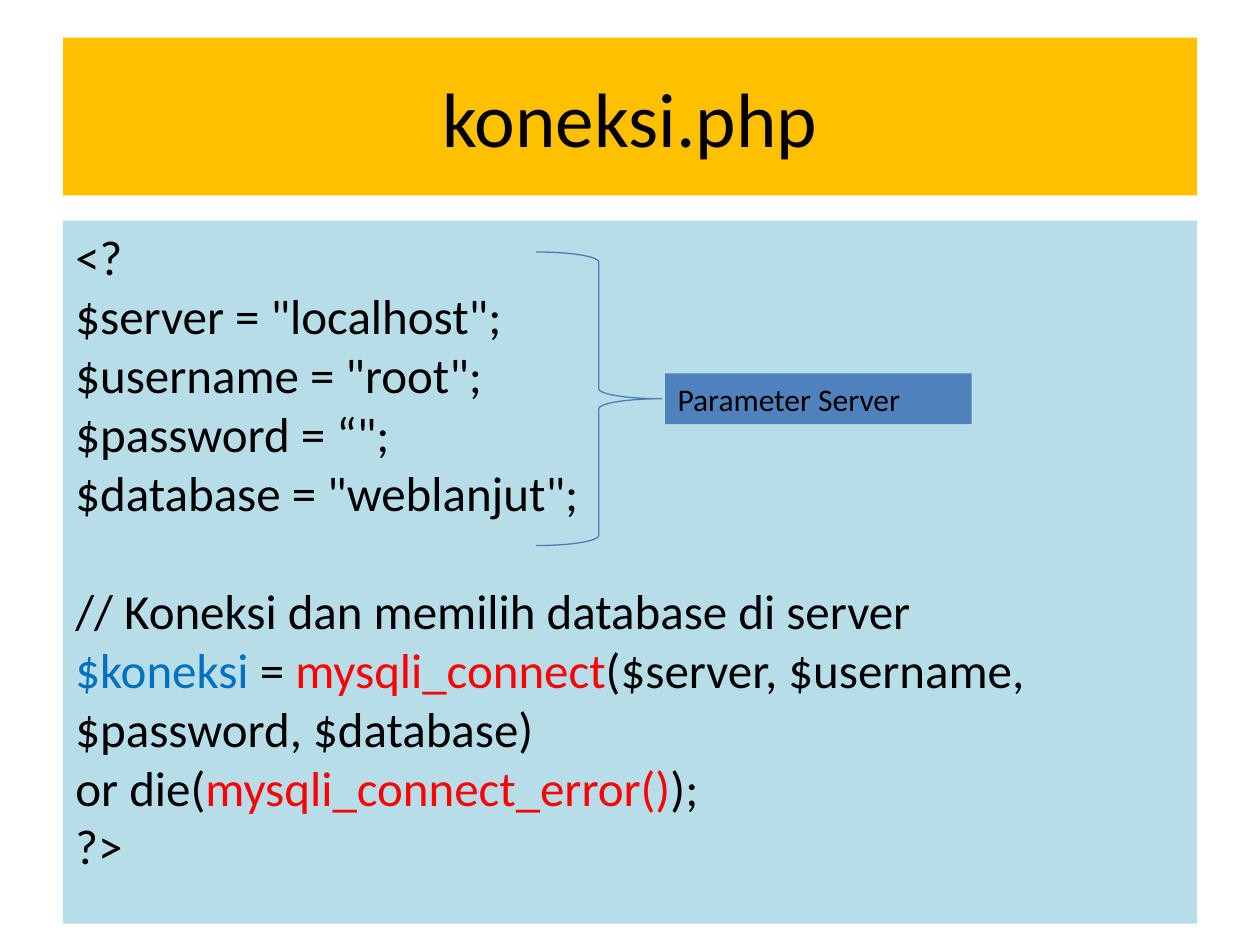
from pptx import Presentation
from pptx.dml.color import RGBColor
from pptx.enum.shapes import MSO_SHAPE
from pptx.enum.text import MSO_ANCHOR, PP_ALIGN
from pptx.util import Cm, Pt

BLACK, BLUE, RED = "000000", "0070C0", "FF0000"
LEFT, WIDTH = 1.27, 22.86
CODE_SIZE = 28
BLANK_LINE = 34

# Each line is a list of (text, colour) spans.
SETTINGS = [
    [("<?", BLACK)],
    [('$server = "localhost";', BLACK)],
    [('$username = "root";', BLACK)],
    [('$password = “";', BLACK)],
    [('$database = "weblanjut";', BLACK)],
]
CONNECTION = [
    [("// Koneksi dan memilih database di server", BLACK)],
    [("$koneksi ", BLUE), ("= ", BLACK), ("mysqli_connect", RED),
     ("($server, $username, $password, $database)", BLACK)],
    [("or die(", BLACK), ("mysqli_connect_error()", RED), (");", BLACK)],
    [("?>", BLACK)],
]


def color(hex_code):
    return RGBColor.from_string(hex_code)


class CodeSlide:
    font = "Calibri"

    def __init__(self, deck):
        self.page = deck.slides.add_slide(deck.slide_layouts[5])

    def fill(self, box, hex_code):
        box.fill.solid()
        box.fill.fore_color.rgb = color(hex_code)

    def format_span(self, span, size, hex_code):
        span.font.name = self.font
        span.font.size = Pt(size)
        span.font.color.rgb = color(hex_code)

    def title(self, text, left, top, width, height, background):
        box = self.page.shapes.title
        box.left, box.top, box.width, box.height = map(Cm, (left, top, width, height))
        self.fill(box, background)
        frame = box.text_frame
        frame.text = text
        frame.vertical_anchor = MSO_ANCHOR.MIDDLE
        para = frame.paragraphs[0]
        para.alignment = PP_ALIGN.CENTER
        self.format_span(para.runs[0], 44, BLACK)

    def shape(self, kind, left, top, width, height):
        box = self.page.shapes.add_shape(kind, *map(Cm, (left, top, width, height)))
        box.shadow.inherit = False
        return box

    def panel(self, lines, left, top, width, height, background, size):
        """Draw a filled rectangle with left-aligned lines; return their paragraphs."""
        box = self.shape(MSO_SHAPE.RECTANGLE, left, top, width, height)
        self.fill(box, background)
        box.line.fill.background()
        frame = box.text_frame
        frame.word_wrap = True
        frame.vertical_anchor = MSO_ANCHOR.TOP
        frame.text = "\n".join("" for _ in lines)
        for para, spans in zip(frame.paragraphs, lines):
            para.alignment = PP_ALIGN.LEFT
            for text, hex_code in spans:
                span = para.add_run()
                span.text = text
                self.format_span(span, size, hex_code)
        return frame.paragraphs

    def brace(self, left, top, width, height, line):
        box = self.shape(MSO_SHAPE.RIGHT_BRACE, left, top, width, height)
        box.adjustments[0] = 0.08
        box.fill.background()
        box.line.color.rgb = color(line)
        box.line.width = Pt(0.75)


def main():
    deck = Presentation()
    deck.slide_width, deck.slide_height = Cm(25.4), Cm(19.05)
    slide = CodeSlide(deck)
    slide.title("koneksi.php", LEFT, 0.76, WIDTH, 3.18, "FFC000")
    paras = slide.panel(SETTINGS + CONNECTION, LEFT, 4.45, WIDTH, 14.17, "B7DEE8", CODE_SIZE)
    paras[len(SETTINGS)].space_before = Pt(BLANK_LINE)
    slide.panel([[("Parameter Server", BLACK)]], 13.41, 7.53, 6.18, 1.02, "4F81BD", 18)
    slide.brace(10.8, 5.08, 2.54, 5.92, "4A7EBB")
    deck.save("out.pptx")


if __name__ == "__main__":
    main()
